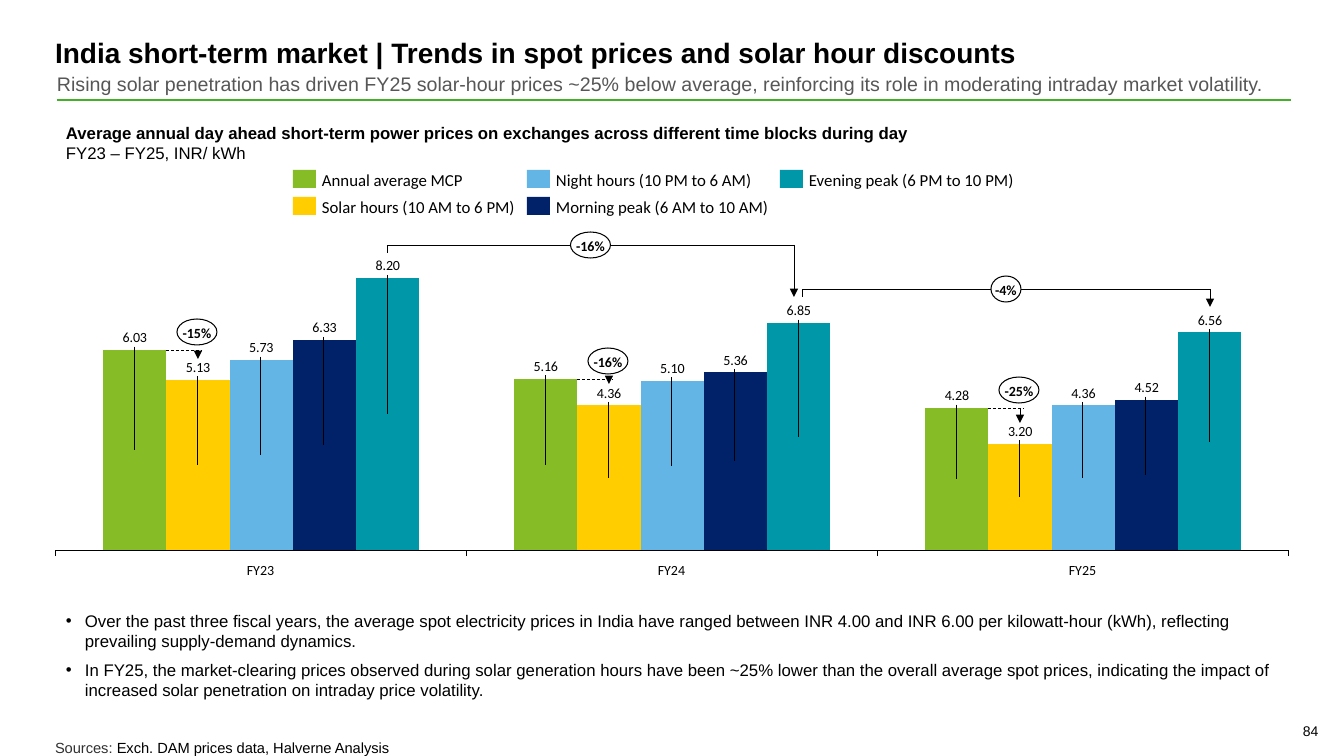
from dataclasses import dataclass
from lxml.etree import SubElement
from pptx import Presentation
from pptx.chart.data import CategoryChartData
from pptx.dml.color import RGBColor
from pptx.enum.chart import XL_CHART_TYPE as Chart, XL_LABEL_POSITION as LabelPos
from pptx.enum.chart import XL_TICK_LABEL_POSITION as TickLabel, XL_TICK_MARK as Tick
from pptx.enum.dml import MSO_LINE_DASH_STYLE as Dash
from pptx.enum.shapes import MSO_CONNECTOR as Connector, MSO_SHAPE as Shape
from pptx.enum.text import MSO_ANCHOR as Anchor, PP_ALIGN as Align
from pptx.oxml import parse_xml
from pptx.oxml.ns import nsdecls, qn
from pptx.util import Emu, Pt

BLACK = RGBColor(0x00, 0x00, 0x00)
WHITE = RGBColor(0xFF, 0xFF, 0xFF)
GREY = RGBColor(0x57, 0x57, 0x57)
DARK = RGBColor(0x31, 0x31, 0x31)
RULE_GREEN = RGBColor(0x43, 0xB0, 0x2A)
GREEN = RGBColor(0x86, 0xBC, 0x25)
YELLOW = RGBColor(0xFF, 0xCD, 0x00)
SKY = RGBColor(0x62, 0xB5, 0xE5)
NAVY = RGBColor(0x01, 0x21, 0x69)
TEAL = RGBColor(0x00, 0x97, 0xA9)

PLOT_LEFT, PLOT_BASE, PLOT_HEIGHT, YEAR_WIDTH = 55, 550, 271, 411
GAP, MAX_PRICE = 150, 8.2


@dataclass
class Run:
    text: str
    size: float
    color: RGBColor = BLACK
    bold: bool = False
    font: str = "Arial"


@dataclass
class TextBlock:
    box: tuple[int, int, int, int]
    paragraphs: list[list[Run]]
    padded: bool = False
    bullets: bool = False


@dataclass
class Series:
    name: str
    prices: tuple[float, ...]
    color: RGBColor


@dataclass
class Discount:
    x: int
    y: int
    arrow_end: int
    label: str


@dataclass
class Trend:
    x1: int
    x2: int
    y: int
    arrow_end: int
    oval_width: int
    label: str


YEARS = ("FY23", "FY24", "FY25")
SERIES = [
    Series("Annual average MCP", (6.03, 5.16, 4.28), GREEN),
    Series("Solar hours (10 AM to 6 PM)", (5.13, 4.36, 3.20), YELLOW),
    Series("Night hours (10 PM to 6 AM)", (5.73, 5.10, 4.36), SKY),
    Series("Morning peak (6 AM to 10 AM)", (6.33, 5.36, 4.52), NAVY),
    Series("Evening peak (6 PM to 10 PM)", (8.20, 6.85, 6.56), TEAL),
]
LEGEND_COLUMNS = (293, 527, 780)
DISCOUNTS = [
    Discount(166, 350, 359, "-15%"),
    Discount(577, 379, 384, "-16%"),
    Discount(988, 408, 423, "-25%"),
]
TRENDS = [
    Trend(387, 794, 245, 297, 40, "-16%"),
    Trend(802, 1210, 289, 307, 30, "-4%"),
]
TEXTS = [
    TextBlock((1303, 723, 20, 17), [[Run("84", 10)]]),
    TextBlock((55, 36, 1234, 37), [[Run(
        "India short-term market | Trends in spot prices and solar hour discounts", 20, bold=True)]]),
    TextBlock((57, 72, 1264, 26), [[Run(
        "Rising solar penetration has driven FY25 solar-hour prices ~25% below average, "
        "reinforcing its role in moderating intraday market volatility.", 14, GREY)]]),
    TextBlock((55, 739, 1067, 17), [[
        Run("Sources: ", 10.5, DARK), Run("Exch. DAM prices data, Halverne Analysis", 10.5)]]),
    TextBlock((56, 118, 1242, 50), [
        [Run("Average annual day ahead short-term power prices on exchanges "
             "across different time blocks during day", 12, bold=True)],
        [Run("FY23 – FY25, INR/ kWh", 12)]], padded=True),
    TextBlock((56, 606, 1234, 100), [
        [Run("Over the past three fiscal years, the average spot electricity prices in India have "
             "ranged between INR 4.00 and INR 6.00 per kilowatt-hour (kWh), reflecting "
             "prevailing supply-demand dynamics.", 12)],
        [Run("In FY25, the market-clearing prices observed during solar generation hours have been "
             "~25% lower than the overall average spot prices, indicating the impact of "
             "increased solar penetration on intraday price volatility.", 12)]],
        padded=True, bullets=True),
]


def px(n: float) -> Emu:
    return Emu(round(n * 914400 / 100.8))


def add_run(p, run: Run) -> None:
    r = p.add_run()
    r.text = run.text
    r.font.size, r.font.name, r.font.bold = Pt(run.size), run.font, run.bold
    r.font.color.rgb = run.color


def clear_margins(tf) -> None:
    tf.margin_left = tf.margin_right = tf.margin_top = tf.margin_bottom = 0


def add_text(s, block: TextBlock) -> None:
    tf = s.shapes.add_textbox(*map(px, block.box)).text_frame
    tf.word_wrap = True
    if not block.padded:
        clear_margins(tf)
    for i, runs in enumerate(block.paragraphs):
        p = tf.add_paragraph() if i else tf.paragraphs[0]
        if block.bullets:
            pPr = p._p.get_or_add_pPr()
            pPr.set("marL", str(px(19)))
            pPr.set("indent", str(-px(19)))
            SubElement(pPr, qn("a:buFont")).set("typeface", "Arial")
            SubElement(pPr, qn("a:buChar")).set("char", "•")
            if i:
                p.space_before = Pt(6)
        for run in runs:
            add_run(p, run)


def add_label(s, box: tuple[int, ...], run: Run, align=Align.CENTER) -> None:
    tf = s.shapes.add_textbox(*map(px, box)).text_frame
    tf.word_wrap = align == Align.LEFT
    tf.vertical_anchor = Anchor.MIDDLE
    clear_margins(tf)
    p = tf.paragraphs[0]
    p.alignment, p.line_spacing = align, 1.1
    add_run(p, run)


def add_line(s, x1: float, y1: float, x2: float, y2: float, width: float = 0.5,
             color: RGBColor = BLACK, dashed: bool = False, arrow: bool = False) -> None:
    sp = s.shapes.add_connector(Connector.STRAIGHT, px(x1), px(y1), px(x2), px(y2))
    sp.line.width = Pt(width)
    sp.line.color.rgb = color
    if dashed:
        sp.line.dash_style = Dash.DASH
    if arrow:
        SubElement(sp.line._get_or_add_ln(), qn("a:tailEnd")).set("type", "triangle")
    SubElement(sp._element.spPr, qn("a:effectLst"))


def add_shape(s, kind: Shape, box: tuple[float, ...], fill: RGBColor):
    sp = s.shapes.add_shape(kind, *map(px, box))
    sp.shadow.inherit = False
    sp.fill.solid()
    sp.fill.fore_color.rgb = fill
    sp.line.fill.background()
    return sp


def add_oval(s, x: float, y: float, width: int, label: str) -> None:
    sp = add_shape(s, Shape.OVAL, (x, y, width, 26), WHITE)
    sp.line.color.rgb, sp.line.width = BLACK, Pt(0.75)
    tf = sp.text_frame
    tf.word_wrap, tf.vertical_anchor = False, Anchor.MIDDLE
    clear_margins(tf)
    p = tf.paragraphs[0]
    p.alignment, p.line_spacing = Align.CENTER, 1.1
    add_run(p, Run(label, 10, bold=True, font="Calibri"))


def add_price_chart(s) -> None:
    data = CategoryChartData(number_format="0.00")
    data.categories = YEARS
    for series in SERIES:
        data.add_series(series.name, series.prices)
    chart = s.shapes.add_chart(Chart.COLUMN_CLUSTERED, px(47), px(241), px(1252), px(334), data).chart
    chart.has_legend = chart.has_title = False
    chart.font.name, chart.font.size = "Calibri", Pt(10)
    chart.font.color.rgb = BLACK
    years, prices = chart.category_axis, chart.value_axis
    years.tick_label_position, years.major_tick_mark = TickLabel.NONE, Tick.OUTSIDE
    years.format.line.color.rgb, years.format.line.width = BLACK, Pt(0.75)
    prices.visible = prices.has_major_gridlines = False
    prices.minimum_scale, prices.maximum_scale = 0, MAX_PRICE
    plot = chart.plots[0]
    plot.gap_width, plot.overlap, plot.vary_by_categories = GAP, 0, False
    plot.has_data_labels = True
    labels = plot.data_labels
    labels.show_value, labels.position = True, LabelPos.OUTSIDE_END
    labels.number_format, labels.number_format_is_linked = "0.00", False
    for bars, series in zip(plot.series, SERIES):
        bars.format.fill.solid()
        bars.format.fill.fore_color.rgb = series.color
    area = chart._chartSpace.chart.plotArea
    for old in area.findall(qn("c:layout")):
        area.remove(old)
    area.insert(0, parse_xml(
        f'<c:layout {nsdecls("c")}><c:manualLayout><c:layoutTarget val="inner"/>'
        '<c:xMode val="edge"/><c:yMode val="edge"/><c:x val="0.007"/><c:y val="0.11"/>'
        '<c:w val="0.985"/><c:h val="0.816"/></c:manualLayout></c:layout>'))


def add_bar_leaders(s) -> None:
    bar = YEAR_WIDTH / (len(SERIES) + GAP / 100)
    for i, series in enumerate(SERIES):
        for year, price in enumerate(series.prices):
            x = PLOT_LEFT + year * YEAR_WIDTH + bar * (GAP / 200 + i + 0.5)
            height = PLOT_HEIGHT * price / MAX_PRICE
            add_line(s, x, PLOT_BASE - height - 4, x, PLOT_BASE - height / 2)


def main() -> None:
    prs = Presentation()
    prs.slide_width, prs.slide_height = px(1344), px(756)
    s = prs.slides.add_slide(prs.slide_layouts[6])
    for block in TEXTS:
        add_text(s, block)
    add_line(s, 57, 100, 1291, 100, 1, RULE_GREEN)
    add_price_chart(s)
    add_bar_leaders(s)
    for i, year in enumerate(YEARS):
        add_label(s, (246 + i * YEAR_WIDTH, 560, 29, 18), Run(year, 10, font="Calibri"))
    for i, series in enumerate(SERIES):
        column, row = divmod(i, 2)
        x, y = LEGEND_COLUMNS[column], 170 + 27 * row
        add_shape(s, Shape.RECTANGLE, (x, y, 23, 18), series.color)
        add_label(s, (x + 29, y - 2, 240, 22), Run(series.name, 12, font="Calibri"), Align.LEFT)
    for d in DISCOUNTS:
        add_line(s, d.x, d.y, d.x + 36, d.y, dashed=True)
        add_line(s, d.x + 32, d.y, d.x + 32, d.arrow_end, arrow=True)
        add_oval(s, d.x + 11, d.y - 31, 40, d.label)
    for t in TRENDS:
        add_line(s, t.x1, t.y + 8, t.x1, t.y)
        add_line(s, t.x1, t.y, t.x2, t.y)
        add_line(s, t.x2, t.y, t.x2, t.arrow_end, arrow=True)
        add_oval(s, (t.x1 + t.x2 - t.oval_width) / 2, t.y - 13, t.oval_width, t.label)
    prs.save("out.pptx")


if __name__ == "__main__":
    main()
